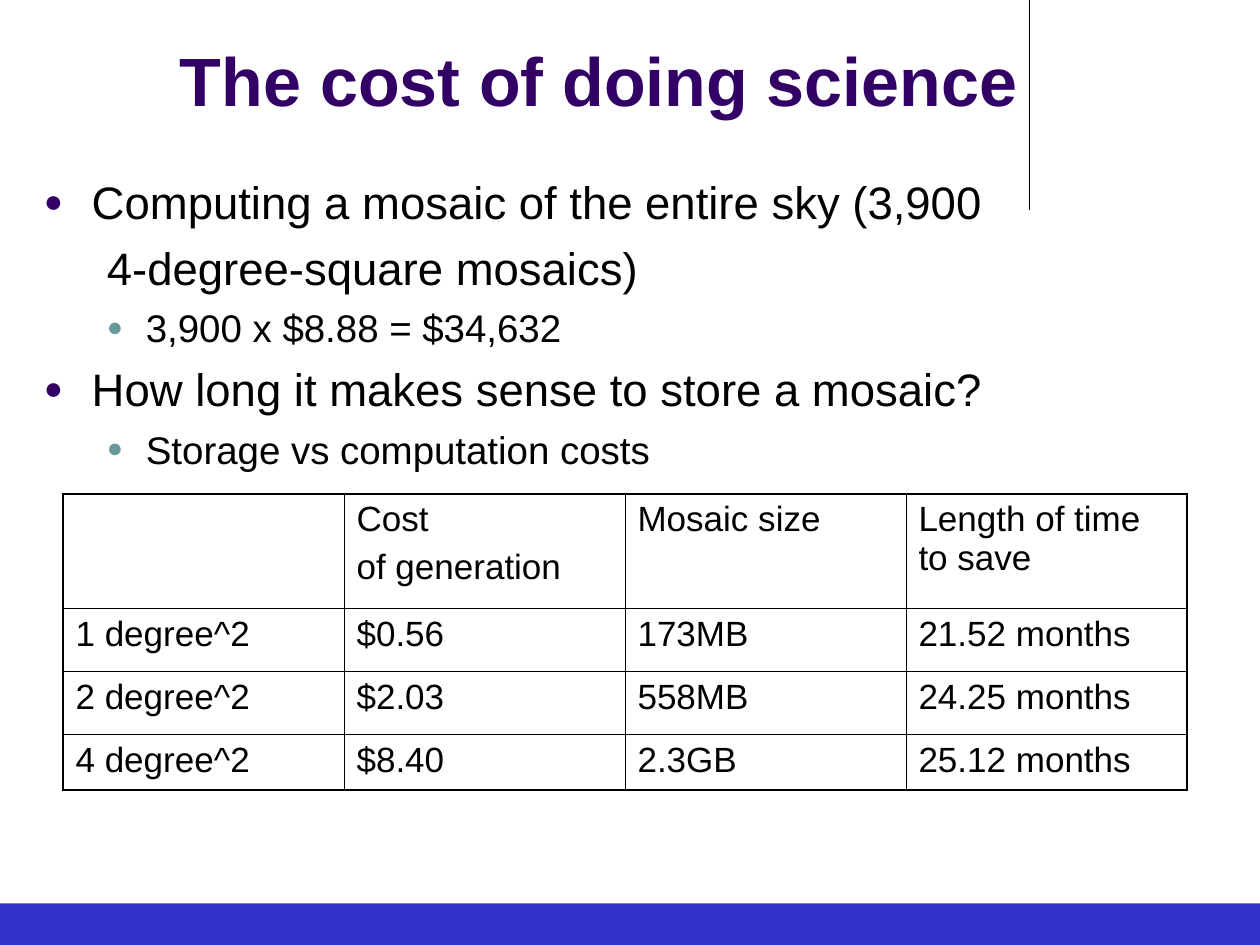
from lxml import etree
from pptx import Presentation, util as u
from pptx.dml.color import RGBColor
from pptx.enum import shapes, text
from pptx.oxml.ns import qn

BLACK, PURPLE, TEAL, BLUE = "000000", "330066", "669999", "3333CC"
BODY = [
    ("Computing a mosaic of the entire sky (3,900", 26, 0.38, -0.38, PURPLE),
    ("4-degree-square mosaics)", 26, 0.5, 0, None),
    ("3,900 x $8.88 = $34,632", 22, 0.81, -0.31, TEAL),
    ("How long it makes sense to store a mosaic?", 26, 0.38, -0.38, PURPLE),
    ("Storage vs computation costs", 22, 0.81, -0.31, TEAL),
]
ROWS = [
    [[], ["Cost", "of generation"], ["Mosaic size"], ["Length of time to save"]],
    [["1 degree^2"], ["$0.56"], ["173MB"], ["21.52 months"]],
    [["2 degree^2"], ["$2.03"], ["558MB"], ["24.25 months"]],
    [["4 degree^2"], ["$8.40"], ["2.3GB"], ["25.12 months"]],
]


def paint(color, tone):
    color.rgb = RGBColor.from_string(tone)


def add_run(para, words, size, tone=BLACK, bold=False):
    run = para.add_run()
    run.text = words
    run.font.name = "Arial"
    run.font.size = u.Pt(size)
    run.font.bold = bold
    paint(run.font.color, tone)


def next_para(frame, index):
    return frame.add_paragraph() if index else frame.paragraphs[0]


def add_box(slide, left, top, width, height, anchor):
    box = slide.shapes.add_textbox(*map(u.Inches, (left, top, width, height)))
    frame = box.text_frame
    frame.word_wrap = True
    frame.vertical_anchor = anchor
    return frame


def indent(para, margin, first, tone):
    props = para._p.get_or_add_pPr()
    props.set("marL", str(u.Inches(margin)))
    props.set("indent", str(u.Inches(first)))
    if tone:
        color = etree.SubElement(props, qn("a:buClr"))
        etree.SubElement(color, qn("a:srgbClr"), val=tone)
        etree.SubElement(props, qn("a:buSzPct"), val="70000")
        etree.SubElement(props, qn("a:buFont"), typeface="Arial")
        etree.SubElement(props, qn("a:buChar"), char="●")


def add_body(slide):
    frame = add_box(slide, 0.25, 1.33, 8.83, 2.5, text.MSO_ANCHOR.TOP)
    for i, (words, size, margin, first, tone) in enumerate(BODY):
        para = next_para(frame, i)
        para.space_before = u.Pt(size / 4)
        indent(para, margin, first, tone)
        add_run(para, words, size)


def add_title(slide):
    frame = add_box(slide, 1.33, 0, 6.92, 1, text.MSO_ANCHOR.BOTTOM)
    add_run(frame.paragraphs[0], "The cost of doing science", 39, PURPLE, True)


def add_bar(slide):
    bar = slide.shapes.add_shape(
        shapes.MSO_SHAPE.RECTANGLE, 0, u.Inches(7.17), u.Inches(10), u.Inches(0.33))
    bar.shadow.inherit = False
    bar.fill.solid()
    paint(bar.fill.fore_color, BLUE)
    bar.line.fill.background()


def add_rule(slide):
    rule = slide.shapes.add_connector(
        shapes.MSO_CONNECTOR.STRAIGHT, u.Inches(8.17), 0, u.Inches(8.17), u.Inches(1.67))
    paint(rule.line.color, BLACK)
    rule.line.width = u.Pt(0.75)
    etree.SubElement(rule._element.spPr, qn("a:effectLst"))


def add_edge(cell, side, width):
    props = cell._tc.get_or_add_tcPr()
    line = etree.SubElement(props, qn("a:ln" + side), w=str(u.Pt(width)))
    fill = etree.SubElement(line, qn("a:solidFill"))
    etree.SubElement(fill, qn("a:srgbClr"), val=BLACK)


def add_grid(slide):
    highs = [0.91, 0.5, 0.5, 0.44]
    frame = slide.shapes.add_table(
        4, 4, u.Inches(0.5), u.Inches(3.92), u.Inches(8.92), u.Inches(sum(highs)))
    grid = frame.table
    grid.first_row = grid.horz_banding = False
    for col in grid.columns:
        col.width = u.Inches(2.23)
    for r, row in enumerate(ROWS):
        grid.rows[r].height = u.Inches(highs[r])
        for c, lines in enumerate(row):
            cell = grid.cell(r, c)
            outer = {"L": c == 0, "R": c == 3, "T": r == 0, "B": r == 3}
            for side, edge in outer.items():
                add_edge(cell, side, 1.08 if edge else 0.45)
            cell.fill.background()
            for i, words in enumerate(lines):
                para = next_para(cell.text_frame, i)
                para.space_before = u.Pt(5)
                add_run(para, words, 20)


def main():
    deck = Presentation()
    deck.slide_width, deck.slide_height = u.Inches(10), u.Inches(7.5)
    slide = deck.slides.add_slide(deck.slide_layouts[6])
    add_bar(slide)
    add_rule(slide)
    add_title(slide)
    add_body(slide)
    add_grid(slide)
    deck.save("out.pptx")


if __name__ == "__main__":
    main()
